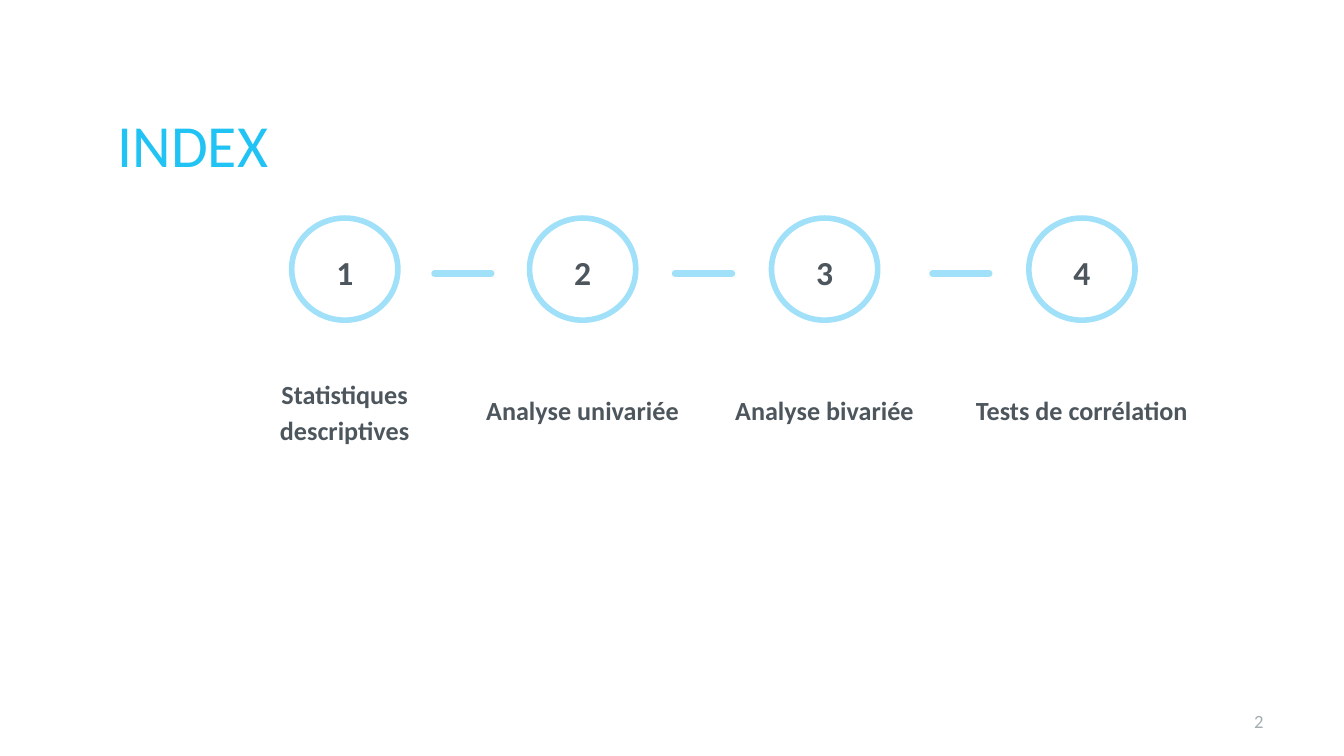
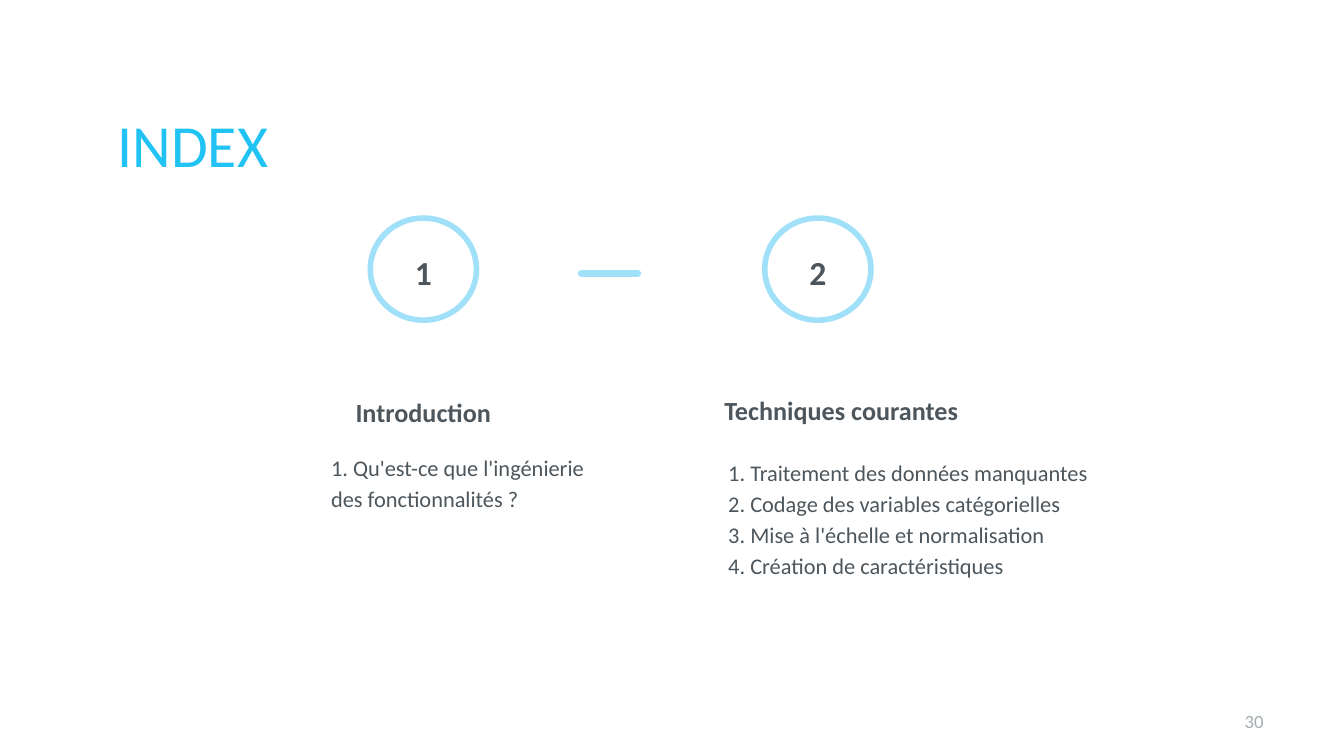
from dataclasses import dataclass

from pptx import Presentation
from pptx.dml.color import RGBColor
from pptx.enum.shapes import MSO_SHAPE as Preset
from pptx.enum.text import MSO_ANCHOR as Anchor, PP_ALIGN as Align
from pptx.shapes.autoshape import Shape
from pptx.shapes.shapetree import GroupShapes, SlideShapes
from pptx.slide import Slide
from pptx.util import Inches, Length, Pt

# Lengths are columns and rows of a square grid, 100 columns to the slide's width.
COLS, ROWS = 100, 56.25
FONT = "Calibri"
ACCENT, PALE, DARK, GREY = "20C3F3", "A0E0F9", "4C565C", "A4ADB0"
CIRCLE_TOP, CIRCLE_W, CIRCLE_H = 16.23, 7.9, 7.6
BAR_TOP, BAR_W, BAR_H = 20.1, 4.7, 0.5
LABEL_TOP, LABEL_H = 27.8, 5.1

Shapes = SlideShapes | GroupShapes


@dataclass(frozen=True)
class Box:
    left: float
    top: float
    width: float
    height: float


@dataclass(frozen=True)
class Style:
    size: float
    color: str = DARK
    bold: bool = False
    align: Align = Align.LEFT
    anchor: Anchor = Anchor.TOP
    spacing: float = 1.15
    before: float = 0
    after: float = 0
    inset_x: float = 1
    inset_y: float = 1


@dataclass(frozen=True)
class Step:
    """A numbered circle with its label; bar_lead is how far the bar sits before it."""
    center: float
    label: str
    label_w: float
    bar_lead: float = 0
    label_shift: float = 0
    label_drop: float = 0


@dataclass(frozen=True)
class Details:
    box: Box
    style: Style
    lines: tuple[str, ...]


@dataclass(frozen=True)
class IndexPage:
    number: int
    steps: tuple[Step, ...]
    details: tuple[Details, ...] = ()


TITLE = Style(32, ACCENT, anchor=Anchor.MIDDLE, spacing=1, inset_x=0.75, inset_y=0.4)
PAGE_NUMBER = Style(10, GREY, align=Align.RIGHT, anchor=Anchor.MIDDLE, spacing=1)
STEP_NUMBER = Style(18, bold=True, align=Align.CENTER, after=16)
STEP_LABEL = Style(14, bold=True, align=Align.CENTER, anchor=Anchor.MIDDLE)

PAGES = (
    IndexPage(2, (
        Step(25.65, "Statistiques descriptives", 17.4, label_drop=0.1),
        Step(43.35, "Analyse univariée", 17.4, bar_lead=8.9),
        Step(61.35, "Analyse bivariée", 18.1, bar_lead=9),
        Step(80.5, "Tests de corrélation", 18.1, bar_lead=9),
    )),
    IndexPage(30, (
        Step(31.5, "Introduction", 17.4, label_drop=0.1),
        Step(60.85, "Techniques courantes", 21, bar_lead=15.5, label_shift=1.75),
    ), (
        Details(Box(23.65, 32.53, 21, 11.4), Style(12, before=10), (
            "1. Qu'est-ce que l'ingénierie des fonctionnalités ?",
        )),
        Details(Box(53.2, 32.9, 34.2, 16), Style(12), (
            "1. Traitement des données manquantes",
            "2. Codage des variables catégorielles",
            "3. Mise à l'échelle et normalisation",
            "4. Création de caractéristiques",
        )),
    )),
)


def grid(cells: float) -> Length:
    return Inches(cells / 10)


def rgb(color: str) -> RGBColor:
    return RGBColor.from_string(color)


def place(box: Box) -> tuple[Length, ...]:
    return tuple(map(grid, (box.left, box.top, box.width, box.height)))


def centered(center: float, top: float, width: float, height: float) -> Box:
    return Box(center - width / 2, top, width, height)


def add_text(shapes: Shapes, box: Box, style: Style, *lines: str) -> None:
    tf = shapes.add_textbox(*place(box)).text_frame
    tf.word_wrap = True
    tf.vertical_anchor = style.anchor
    tf.margin_left = tf.margin_right = grid(style.inset_x)
    tf.margin_top = tf.margin_bottom = grid(style.inset_y)
    for i, line in enumerate(lines):
        p = tf.add_paragraph() if i else tf.paragraphs[0]
        p.alignment = style.align
        p.line_spacing = style.spacing
        p.space_before, p.space_after = Pt(style.before), Pt(style.after)
        r = p.add_run()
        r.text = line
        r.font.name, r.font.size, r.font.bold = FONT, Pt(style.size), style.bold
        r.font.color.rgb = rgb(style.color)


def add_preset(shapes: Shapes, preset: Preset, box: Box) -> Shape:
    sp = shapes.add_shape(preset, *place(box))
    sp.shadow.inherit = False
    return sp


def add_circle(shapes: Shapes, center: float) -> None:
    sp = add_preset(shapes, Preset.OVAL, centered(center, CIRCLE_TOP, CIRCLE_W, CIRCLE_H))
    sp.fill.background()
    sp.line.color.rgb = rgb(PALE)
    sp.line.width = Pt(3)


def add_bar(shapes: Shapes, center: float) -> None:
    sp = add_preset(shapes, Preset.ROUNDED_RECTANGLE, centered(center, BAR_TOP, BAR_W, BAR_H))
    sp.adjustments[0] = 0.5
    sp.fill.solid()
    sp.fill.fore_color.rgb = rgb(PALE)
    sp.line.fill.background()


def add_step(slide: Slide, number: int, step: Step) -> None:
    if step.bar_lead:
        add_bar(slide.shapes, step.center - step.bar_lead)
    shapes = slide.shapes.add_group_shape().shapes
    add_circle(shapes, step.center)
    add_text(shapes, centered(step.center, 17.3, 5.8, 4.1), STEP_NUMBER, str(number))
    label_box = centered(step.center + step.label_shift, LABEL_TOP + step.label_drop,
                         step.label_w, LABEL_H)
    add_text(shapes, label_box, STEP_LABEL, step.label)


def add_index(prs: Presentation, page: IndexPage) -> None:
    slide = prs.slides.add_slide(prs.slide_layouts[6])
    add_text(slide.shapes, Box(71.7, 52.13, 23.3, 3), PAGE_NUMBER, str(page.number))
    add_text(slide.shapes, Box(8, 6, 39.6, 9.4), TITLE, "INDEX")
    for number, step in enumerate(page.steps, 1):
        add_step(slide, number, step)
    for details in page.details:
        add_text(slide.shapes, details.box, details.style, *details.lines)


def main() -> None:
    prs = Presentation()
    prs.slide_width, prs.slide_height = grid(COLS), grid(ROWS)
    for page in PAGES:
        add_index(prs, page)
    prs.save("out.pptx")


if __name__ == "__main__":
    main()
